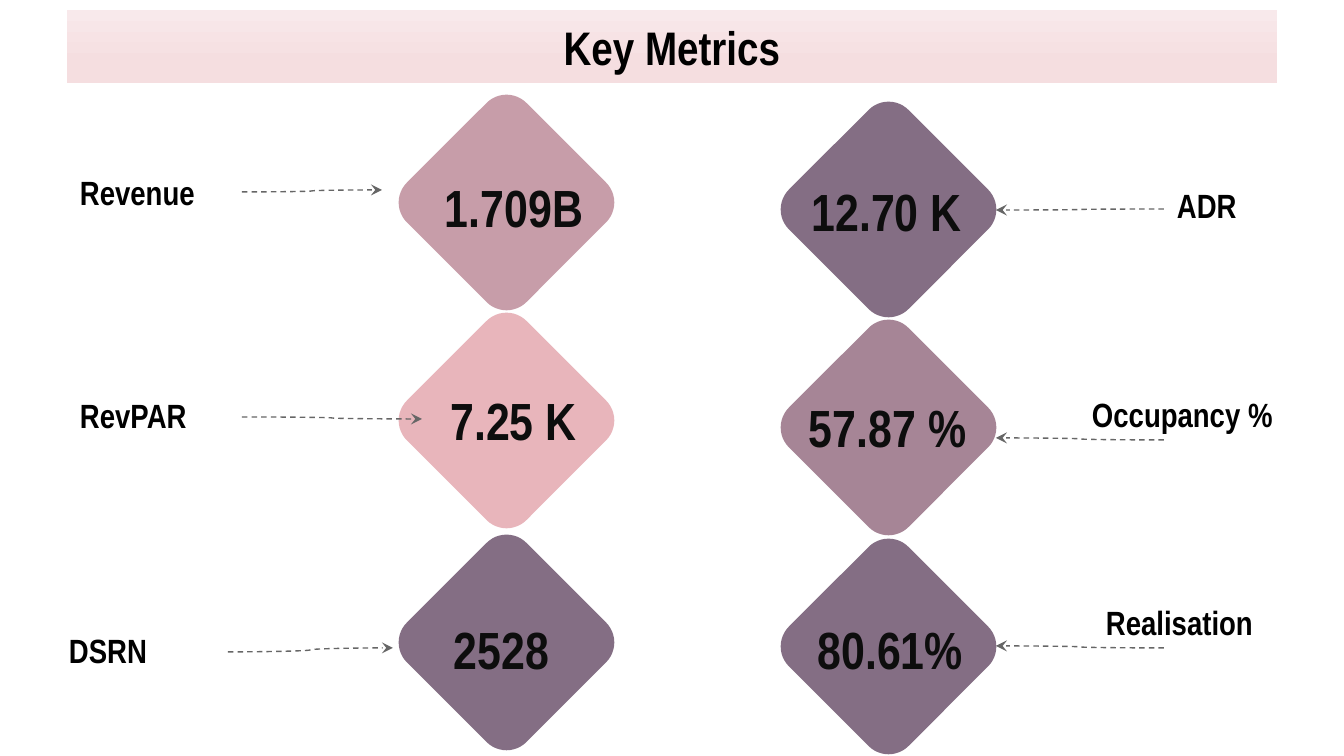
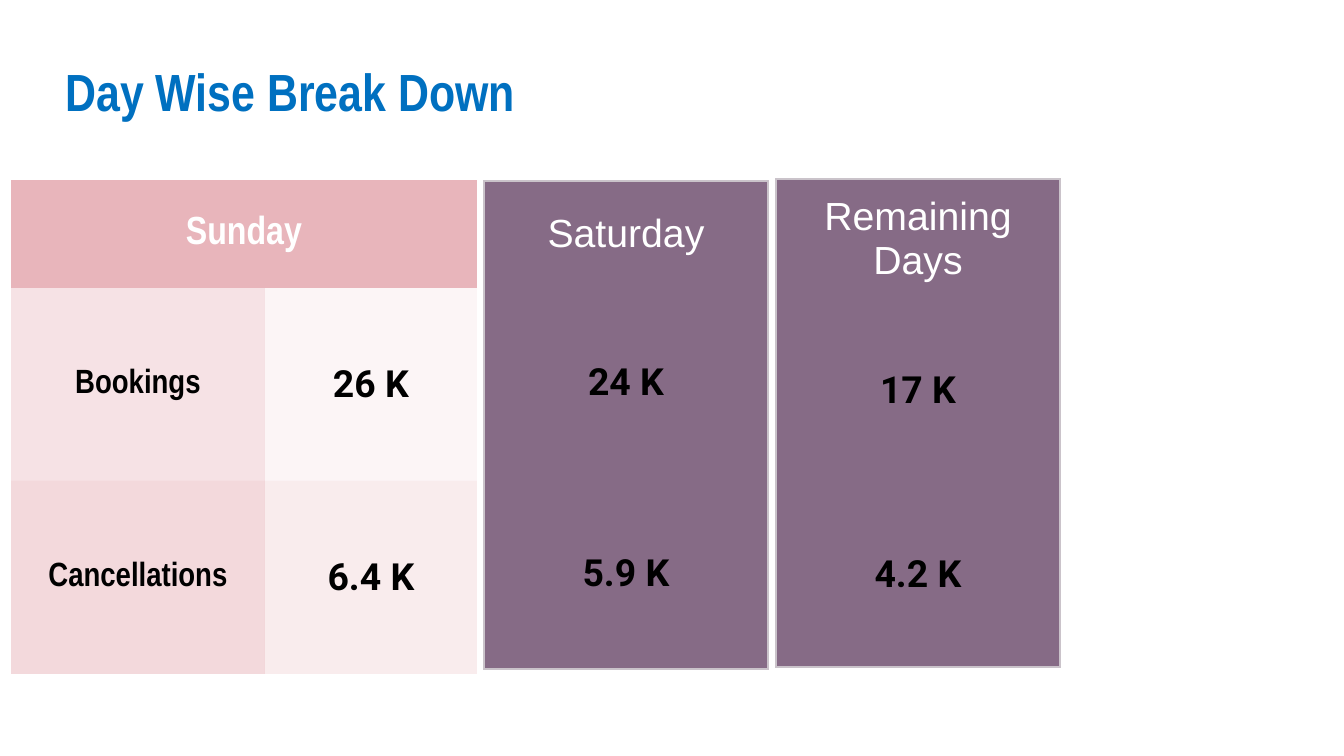
from dataclasses import dataclass

from lxml.etree import SubElement
from pptx import Presentation
from pptx.dml.color import RGBColor
from pptx.enum.dml import MSO_LINE
from pptx.enum.shapes import MSO_CONNECTOR, MSO_SHAPE
from pptx.enum.text import MSO_ANCHOR, PP_ALIGN
from pptx.oxml import parse_xml
from pptx.oxml.ns import nsdecls, qn
from pptx.util import Pt

EMU_PER_PX = 914400 / 134.4
SLIDE_W, SLIDE_H = 1344, 756
INSET = 13
DIAMOND = 169
VALUE_H = 116
LABEL_H = 40

NARROW, SANS, ROBOTO = "Arial Narrow", "Arial", "Roboto"

BLACK = RGBColor(0x00, 0x00, 0x00)
WHITE = RGBColor(0xFF, 0xFF, 0xFF)
INK = RGBColor(0x0D, 0x0D, 0x0D)
BLUE = RGBColor(0x00, 0x70, 0xC0)
GREY = RGBColor(0x66, 0x66, 0x66)
ROSE = RGBColor(0xC7, 0x9D, 0xA9)
PINK = RGBColor(0xE8, 0xB5, 0xBB)
MAUVE = RGBColor(0xA6, 0x85, 0x96)
PLUM = RGBColor(0x84, 0x6E, 0x84)
TABLE_PLUM = RGBColor(0x86, 0x6B, 0x86)
TABLE_EDGE = RGBColor(0xCA, 0xC3, 0xCA)
BAND_TOP = RGBColor(0xF8, 0xE9, 0xEB)
BAND_BOTTOM = RGBColor(0xF5, 0xDE, 0xE0)


@dataclass
class Metric:
    """A diamond's corner, with its value, label and arrow as offsets from it."""
    label: str
    value: str
    color: RGBColor
    corner: tuple
    value_at: tuple
    value_w: int
    label_at: tuple
    label_w: int
    arrow: tuple


METRICS = [
    Metric("Revenue", "1.709B", ROSE, (422, 118), (-17, 31), 218,
           (-355, 54), 223, (-180, 74, -40, 72)),
    Metric("RevPAR", "7.25 K", PINK, (422, 336), (0, 26), 183,
           (-355, 59), 223, (-180, 81, 0, 83)),
    Metric("DSRN", "2528", PLUM, (422, 558), (-12, 33), 183,
           (-366, 72), 223, (-194, 94, -29, 90)),
    Metric("ADR", "12.70 K", PLUM, (804, 125), (-27, 28), 219,
           (360, 60), 223, (360, 84, 192, 85)),
    Metric("Occupancy %", "57.87 %", MAUVE, (804, 343), (-33, 26), 233,
           (275, 51), 251, (360, 97, 192, 95)),
    Metric("Realisation", "80.61%", PLUM, (804, 562), (-20, 29), 212,
           (289, 40), 251, (360, 86, 192, 84)),
]


def px(*values):
    return [round(v * EMU_PER_PX) for v in values]


def style(p, size, font, color, bold, align):
    p.alignment = align
    p.font.size = Pt(size)
    p.font.name = font
    p.font.color.rgb = color
    p.font.bold = bold


def add_text(slide, box, text, size, color=BLACK, align=PP_ALIGN.CENTER):
    sp = slide.shapes.add_textbox(*px(*box))
    tf = sp.text_frame
    tf.word_wrap = True
    tf.vertical_anchor = MSO_ANCHOR.MIDDLE
    tf.margin_left, tf.margin_top, tf.margin_right, tf.margin_bottom = px(*[INSET] * 4)
    tf.text = text
    style(tf.paragraphs[0], size, NARROW, color, True, align)
    return sp


def add_banner(slide, box, text):
    fill = add_text(slide, box, text, 25.2).fill
    fill.gradient()
    fill.gradient_angle = 270
    for stop, position, color in zip(fill.gradient_stops, (0, 0.74), (BAND_TOP, BAND_BOTTOM)):
        stop.position = position
        stop.color.rgb = color


def add_arrow(slide, x1, y1, x2, y2):
    cxn = slide.shapes.add_connector(MSO_CONNECTOR.CURVE, *px(x1, y1, x2, y2))
    cxn.line.color.rgb = GREY
    cxn.line.width = Pt(0.75)
    cxn.line.dash_style = MSO_LINE.DASH
    SubElement(cxn.line._get_or_add_ln(), qn("a:tailEnd"), type="stealth")
    SubElement(cxn._element.spPr, qn("a:effectLst"))


def add_metric(slide, m):
    x, y = m.corner
    sp = slide.shapes.add_shape(MSO_SHAPE.ROUNDED_RECTANGLE, *px(x, y, DIAMOND, DIAMOND))
    sp.rotation = 45
    sp.shadow.inherit = False
    sp.fill.solid()
    sp.fill.fore_color.rgb = m.color
    sp.line.fill.background()
    dx, dy = m.value_at
    add_text(slide, (x + dx, y + dy, m.value_w, VALUE_H), m.value, 28, INK)
    dx, dy = m.label_at
    add_text(slide, (x + dx, y + dy, m.label_w, LABEL_H), m.label, 18, align=PP_ALIGN.LEFT)
    x1, y1, x2, y2 = m.arrow
    add_arrow(slide, x + x1, y + y1, x + x2, y + y2)


def set_borders(cell, sides):
    """Draw the named sides (letters of LRTB) and clear the others."""
    tc_pr = cell._tc.get_or_add_tcPr()
    for i, side in enumerate("LRTB"):
        if side in sides:
            fill = f'<a:solidFill><a:srgbClr val="{TABLE_EDGE}"/></a:solidFill>'
        else:
            fill = "<a:noFill/>"
        tc_pr.insert(i, parse_xml(f'<a:ln{side} {nsdecls("a")} w="9525">{fill}</a:ln{side}>'))


def fill_cell(cell, text, size, font, color, bold, fill, opacity=100, sides=""):
    cell.text = text
    cell.vertical_anchor = MSO_ANCHOR.MIDDLE
    (cell.margin_left, cell.margin_top,
     cell.margin_right, cell.margin_bottom) = px(*[INSET] * 4)
    style(cell.text_frame.paragraphs[0], size, font, color, bold, PP_ALIGN.CENTER)
    cell.fill.solid()
    cell.fill.fore_color.rgb = fill
    if opacity < 100:
        rgb = cell._tc.tcPr.find(".//" + qn("a:srgbClr"))
        SubElement(rgb, qn("a:alpha"), val=str(opacity * 1000))
    set_borders(cell, sides)


def add_grid(slide, x, y, cols, rows):
    """Add an unstyled table with the given column widths and row heights."""
    frame = slide.shapes.add_table(len(rows), len(cols), *px(x, y, sum(cols), sum(rows)))
    table = frame.table
    table.first_row = table.horz_banding = False
    for col, w in zip(table.columns, px(*cols)):
        col.width = w
    for row, h in zip(table.rows, px(*rows)):
        row.height = h
    return table


def add_sunday_table(slide, x, y):
    table = add_grid(slide, x, y, (254, 212), (108, 193, 193))
    table.cell(0, 0).merge(table.cell(0, 1))
    fill_cell(table.cell(0, 0), "Sunday", 21, NARROW, WHITE, True, PINK)
    body = [("Bookings", "26 K", 38, 13), ("Cancellations", "6.4 K", 50, 25)]
    for r, (name, value, name_opacity, value_opacity) in enumerate(body, 1):
        fill_cell(table.cell(r, 0), name, 18, NARROW, BLACK, True, PINK, name_opacity)
        fill_cell(table.cell(r, 1), value, 20, ROBOTO, BLACK, True, PINK, value_opacity)


def add_day_table(slide, x, y, rows, day, bookings, cancellations):
    table = add_grid(slide, x, y, (284,), rows)
    fill_cell(table.cell(0, 0), day, 21, SANS, WHITE, False, TABLE_PLUM, sides="LRT")
    for r, (value, sides) in enumerate([(bookings, "LR"), (cancellations, "LRB")], 1):
        fill_cell(table.cell(r, 0), value, 20, ROBOTO, BLACK, True, TABLE_PLUM, sides=sides)


def build_key_metrics(slide):
    add_banner(slide, (67, 10, 1210, 73), "Key Metrics")
    for m in METRICS:
        add_metric(slide, m)


def build_day_break_down(slide):
    add_text(slide, (-120, 63, 820, 55), "Day Wise Break Down", 28, BLUE)
    add_sunday_table(slide, 11, 180)
    add_day_table(slide, 484, 181, (106, 191, 191), "Saturday", "24 K", "5.9 K")
    add_day_table(slide, 776, 179, (117, 184, 184), "Remaining Days", "17 K", "4.2 K")


def main():
    prs = Presentation()
    prs.slide_width, prs.slide_height = px(SLIDE_W, SLIDE_H)
    for build in (build_key_metrics, build_day_break_down):
        build(prs.slides.add_slide(prs.slide_layouts[6]))
    prs.save("out.pptx")


if __name__ == "__main__":
    main()
